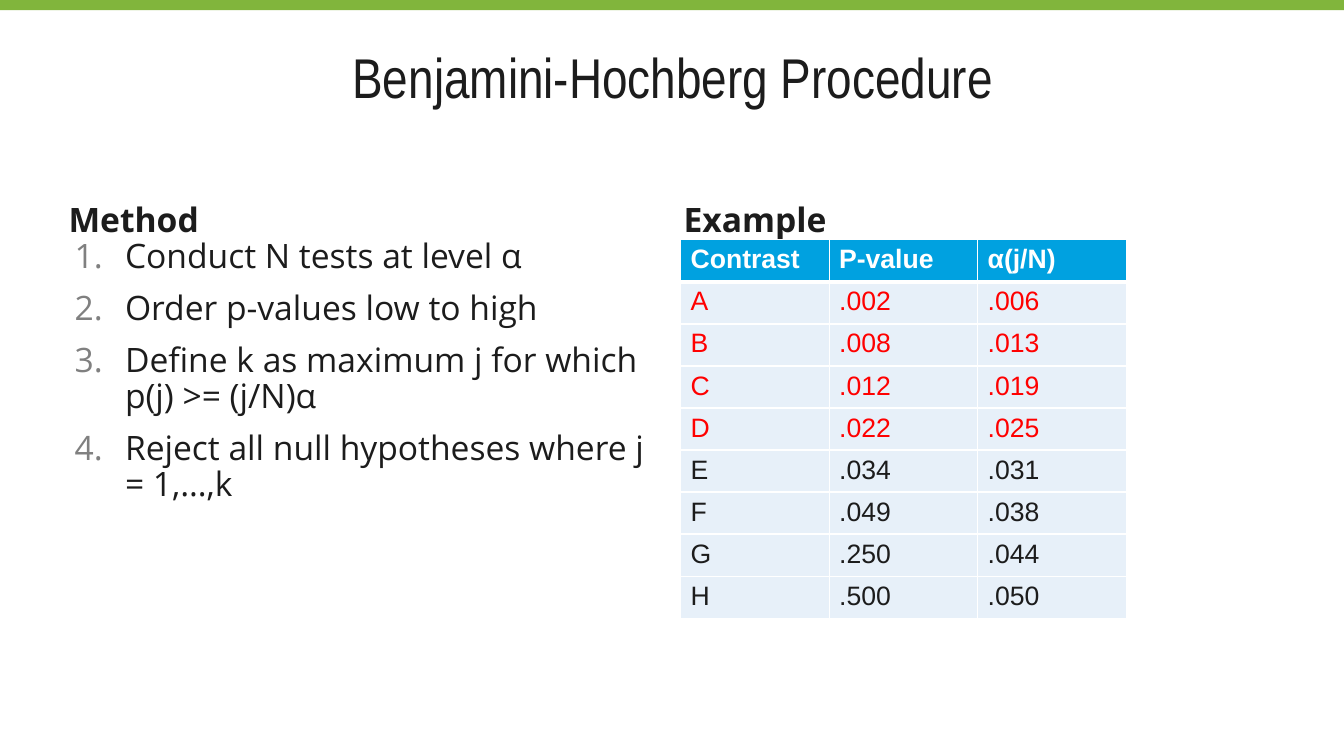
from dataclasses import dataclass

from lxml.etree import SubElement
from pptx import Presentation
from pptx.dml.color import RGBColor as Rgb
from pptx.enum.shapes import MSO_SHAPE as Preset
from pptx.enum.text import MSO_ANCHOR as Anchor, PP_ALIGN as Align
from pptx.oxml.ns import qn
from pptx.slide import Slide
from pptx.util import Inches, Pt

COLORS = {
    "bar": "81B53C", "ink": "1C1C1C", "number": "808080", "header": "00A1E0",
    "row": "E7F0F9", "rejected": "FF0000", "white": "FFFFFF",
}


@dataclass(frozen=True)
class TextBlock:
    lines: tuple[str, ...]
    left: float
    top: float
    width: float
    height: float
    font: str = "Open Sans"
    size: int = 24
    bold: bool = False
    inset: float = 0.01
    spacing: int = 6
    anchor: Anchor = Anchor.BOTTOM
    align: Align = Align.LEFT
    numbered: bool = False


@dataclass(frozen=True)
class Contrast:
    label: str
    p_value: str
    threshold: str
    rejected: bool = False


BLOCKS = (
    TextBlock(("Benjamini-Hochberg Procedure",), 0.37, 0.1, 12.6, 0.99,
              font="Arial Narrow", size=40, inset=0, spacing=0, align=Align.CENTER),
    TextBlock(("Method",), 0.67, 1.68, 5.89, 0.7, bold=True),
    TextBlock((
        "Conduct N tests at level α",
        "Order p-values low to high",
        "Define k as maximum j for which p(j) >= (j/N)α",
        "Reject all null hypotheses where j = 1,…,k",
    ), 0.67, 2.38, 5.89, 4.32, anchor=Anchor.TOP, numbered=True),
    TextBlock(("Example",), 6.77, 1.68, 5.89, 0.7, bold=True),
)

HEADINGS = ("Contrast", "P-value", "α(j/N)")
CONTRASTS = (
    Contrast("A", ".002", ".006", True),
    Contrast("B", ".008", ".013", True),
    Contrast("C", ".012", ".019", True),
    Contrast("D", ".022", ".025", True),
    Contrast("E", ".034", ".031"),
    Contrast("F", ".049", ".038"),
    Contrast("G", ".250", ".044"),
    Contrast("H", ".500", ".050"),
)


def rgb(name: str) -> Rgb:
    """Return the named palette colour."""
    return Rgb.from_string(COLORS[name])


def style_font(paragraph, family: str, size: int, color: str, bold: bool) -> None:
    """Set the font of a whole paragraph."""
    font = paragraph.font
    font.name, font.size, font.bold = family, Pt(size), bold
    font.color.rgb = rgb(color)


def add_number(paragraph) -> None:
    """Give a paragraph a grey automatic number and a hanging indent."""
    properties = paragraph._p.get_or_add_pPr()
    properties.set("marL", str(Inches(0.56)))
    properties.set("indent", str(Inches(-0.5)))
    number_color = SubElement(properties, qn("a:buClr"))
    SubElement(number_color, qn("a:srgbClr"), val=COLORS["number"])
    SubElement(properties, qn("a:buFont"), typeface="+mj-lt")
    SubElement(properties, qn("a:buAutoNum"), type="arabicPeriod")


def add_block(slide: Slide, block: TextBlock) -> None:
    """Draw one text block."""
    area = map(Inches, (block.left, block.top, block.width, block.height))
    frame = slide.shapes.add_textbox(*area).text_frame
    frame.word_wrap = True
    frame.vertical_anchor = block.anchor
    frame.margin_left = Inches(block.inset)
    frame.margin_top = frame.margin_right = frame.margin_bottom = 0
    frame.text = "\n".join(block.lines)
    for paragraph in frame.paragraphs:
        paragraph.alignment = block.align
        paragraph.line_spacing = 0.88
        paragraph.space_before = paragraph.space_after = Pt(block.spacing)
        if block.numbered:
            add_number(paragraph)
        style_font(paragraph, block.font, block.size, "ink", block.bold)


def add_borders(cell, top: int, bottom: int) -> None:
    """Draw white borders with the given top and bottom widths in points."""
    properties = cell._tc.get_or_add_tcPr()
    for side, width in (("L", 1), ("R", 1), ("T", top), ("B", bottom)):
        border = SubElement(properties, qn(f"a:ln{side}"), w=str(Pt(width)))
        fill = SubElement(border, qn("a:solidFill"))
        SubElement(fill, qn("a:srgbClr"), val=COLORS["white"])


def add_example(slide: Slide) -> None:
    """Draw the table of contrasts."""
    rows = [(HEADINGS, "white")]
    for contrast in CONTRASTS:
        values = (contrast.label, contrast.p_value, contrast.threshold)
        rows.append((values, "rejected" if contrast.rejected else "ink"))
    area = map(Inches, (6.75, 2.38, 4.42, 3.65))
    table = slide.shapes.add_table(len(rows), len(HEADINGS), *area).table
    for index, (values, color) in enumerate(rows):
        is_header = index == 0
        for column, value in enumerate(values):
            cell = table.cell(index, column)
            cell.text = value
            style_font(cell.text_frame.paragraphs[0], "Arial", 19, color, is_header)
            add_borders(cell, 3 if index == 1 else 1, 3 if is_header else 1)
            cell.fill.solid()
            cell.fill.fore_color.rgb = rgb("header" if is_header else "row")


def add_bar(slide: Slide) -> None:
    """Draw the green bar along the top edge."""
    bar = slide.shapes.add_shape(Preset.RECTANGLE, 0, 0, Inches(13.35), Inches(0.1))
    bar.shadow.inherit = False
    bar.fill.solid()
    bar.fill.fore_color.rgb = rgb("bar")
    bar.line.fill.background()


def main() -> None:
    """Build and save the slide."""
    deck = Presentation()
    deck.slide_width, deck.slide_height = Inches(13.33), Inches(7.5)
    slide = deck.slides.add_slide(deck.slide_layouts[6])
    add_bar(slide)
    for block in BLOCKS:
        add_block(slide, block)
    add_example(slide)
    deck.save("out.pptx")


if __name__ == "__main__":
    main()
